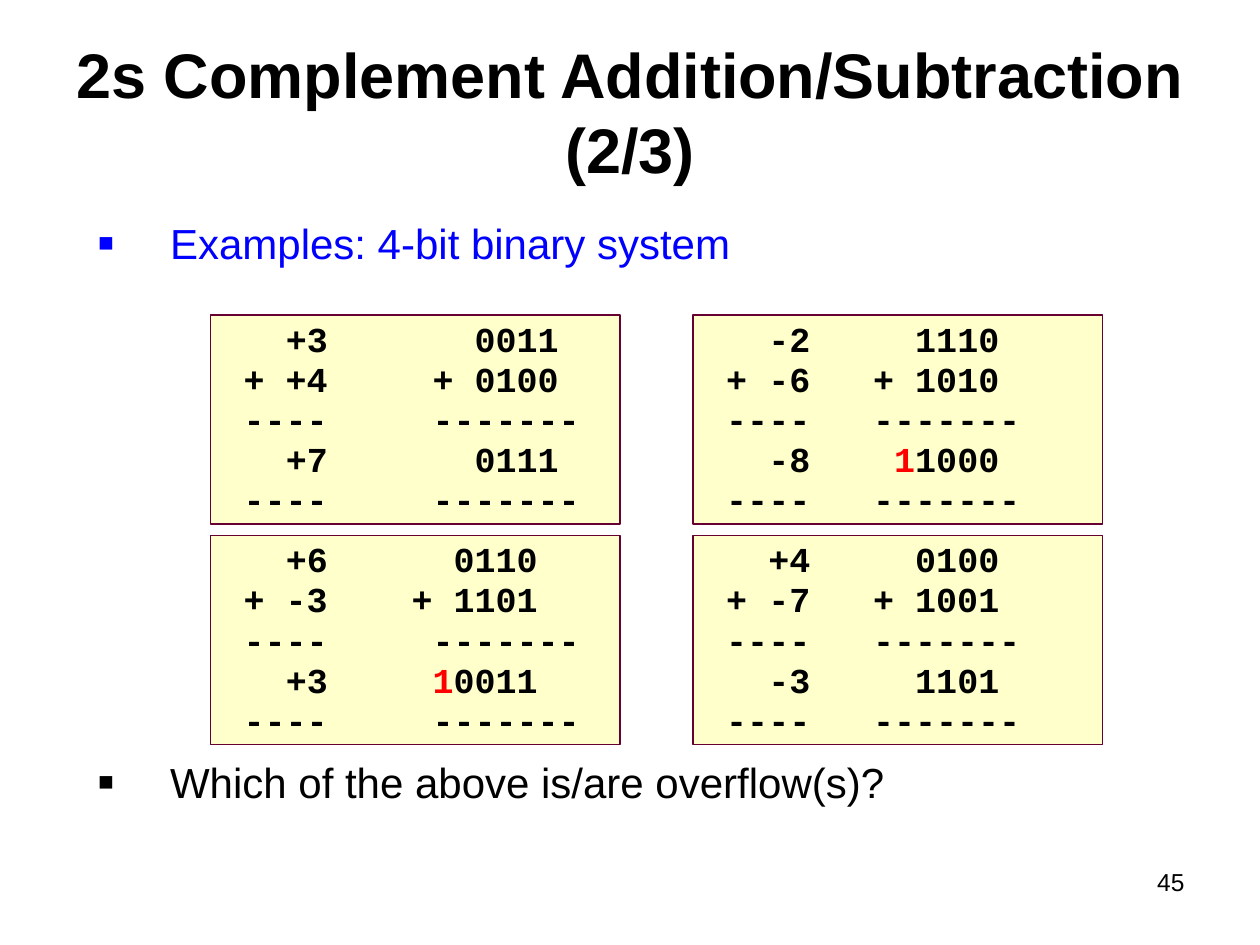
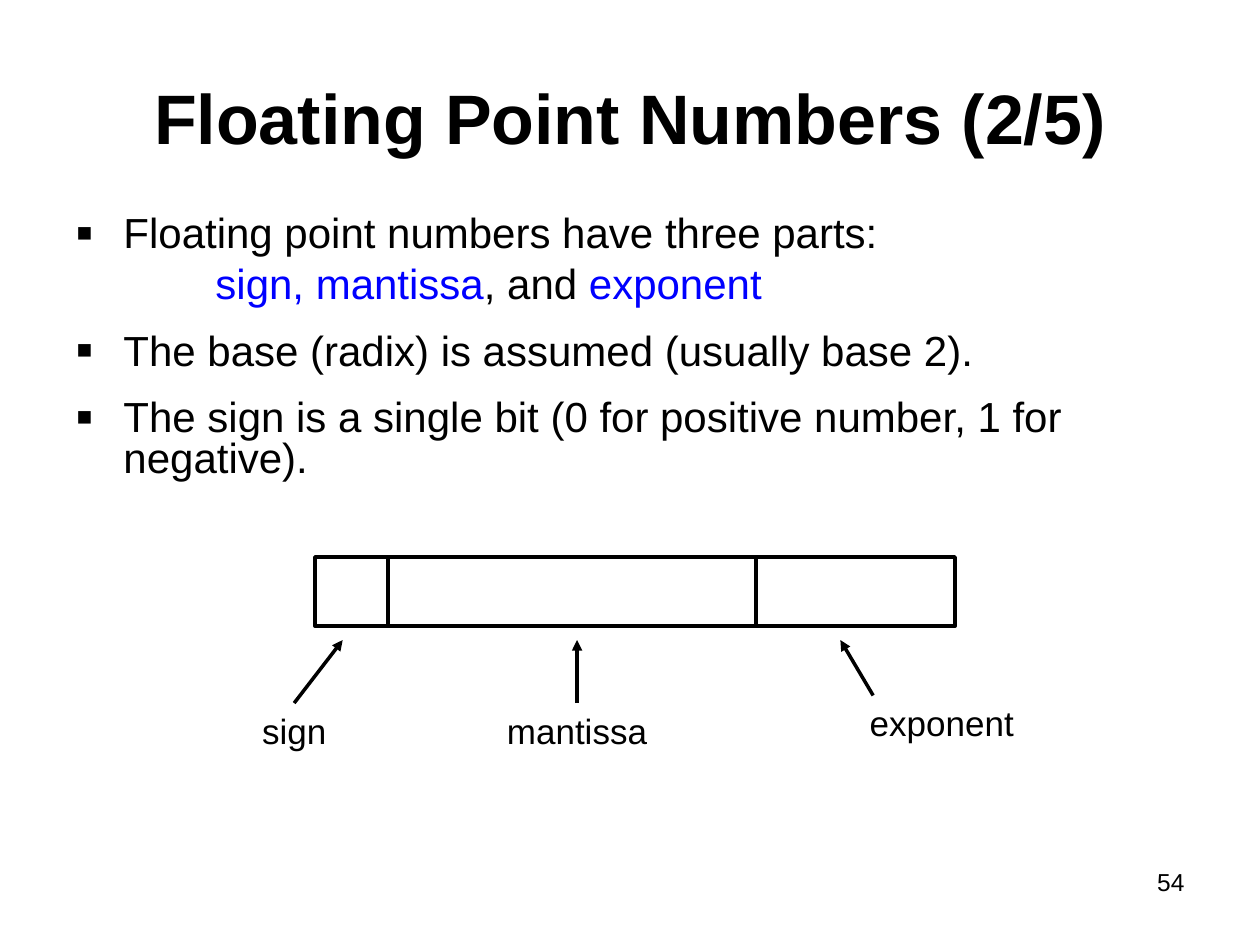
from lxml.etree import SubElement
from pptx import Presentation
from pptx.dml.color import RGBColor
from pptx.enum.shapes import MSO_CONNECTOR, MSO_SHAPE
from pptx.enum.text import MSO_ANCHOR, MSO_AUTO_SIZE, PP_ALIGN
from pptx.oxml.ns import qn
from pptx.util import Inches, Pt

COLORS = {
    "text": "000000",
    "accent": "0000FF",
    "carry": "FF0000",
    "sum_fill": "FFFFCC",
    "sum_line": "660033",
}
TEXT_FONT = "Arial"
CODE_FONT = "Courier New"
CHARACTER_WIDTH = 20 * 0.6 / 72
DECIMAL_END = 5


def set_attributes(target, values):
    for name, value in values.items():
        setattr(target, name, value)


def color(name):
    return RGBColor.from_string(COLORS[name])


def add_run(paragraph, text, size, color_name="text", font=TEXT_FONT, bold=False):
    run = paragraph.add_run()
    run.text = text
    set_attributes(run.font, {"name": font, "size": Pt(size), "bold": bold})
    run.font.color.rgb = color(color_name)


def add_element(parent, tag, **attributes):
    return SubElement(parent, qn(tag), {key: str(value) for key, value in attributes.items()})


def place(shape, left, top, width, height):
    set_attributes(shape, {
        "left": Inches(left), "top": Inches(top),
        "width": Inches(width), "height": Inches(height),
    })


def prepare_frame(shape, anchor=MSO_ANCHOR.TOP):
    frame = shape.text_frame
    set_attributes(frame, {
        "word_wrap": True, "auto_size": MSO_AUTO_SIZE.NONE, "vertical_anchor": anchor,
    })
    return frame


def add_label(slide, text, box, size, alignment):
    label = slide.shapes.add_textbox(*map(Inches, box))
    paragraph = prepare_frame(label).paragraphs[0]
    paragraph.alignment = alignment
    add_run(paragraph, text, size)
    return label


def add_slide(presentation, title, title_size, title_height, number):
    slide = presentation.slides.add_slide(presentation.slide_layouts[1])
    place(slide.shapes.title, 0.5, 0.3, 9, title_height)
    paragraph = prepare_frame(slide.shapes.title, MSO_ANCHOR.MIDDLE).paragraphs[0]
    paragraph.alignment = PP_ALIGN.CENTER
    add_run(paragraph, title, title_size, bold=True)
    add_label(slide, number, (7.17, 6.83, 2.33, 0.52), 14, PP_ALIGN.RIGHT)
    return slide


def format_list_item(paragraph, margin, indent, bullet_color):
    properties = paragraph._p.get_or_add_pPr()
    properties.set("marL", str(Inches(margin)))
    properties.set("indent", str(Inches(indent)))
    if bullet_color:
        fill = add_element(properties, "a:buClr")
        add_element(fill, "a:srgbClr", val=COLORS[bullet_color])
        add_element(properties, "a:buSzPct", val=120000)
        add_element(properties, "a:buFont", typeface=TEXT_FONT)
        add_element(properties, "a:buChar", char="▪")
    else:
        add_element(properties, "a:buNone")


def fill_body(slide, box, items):
    body = slide.placeholders[1]
    place(body, *box)
    frame = prepare_frame(body)
    for index, (margin, indent, bullet_color, space, runs) in enumerate(items):
        paragraph = frame.add_paragraph() if index else frame.paragraphs[0]
        format_list_item(paragraph, margin, indent, bullet_color)
        set_attributes(paragraph, {"line_spacing": 0.8, "space_before": Pt(space)})
        for text, color_name in runs:
            add_run(paragraph, text, 24, color_name)


def add_sum_line(paragraph, decimal, carry, binary, binary_end):
    properties = paragraph._p.get_or_add_pPr()
    tabs = add_element(properties, "a:tabLst")
    for end in (DECIMAL_END, binary_end):
        add_element(tabs, "a:tab", pos=Inches(end * CHARACTER_WIDTH), algn="r")
    for text, color_name in ((f"\t{decimal}\t", "text"), (carry, "carry"), (binary, "text")):
        if text:
            add_run(paragraph, text, 20, color_name, CODE_FONT, True)


def add_sum_box(slide, box, decimals, binaries, carry, digit_end, rule_end):
    shape = slide.shapes.add_shape(MSO_SHAPE.RECTANGLE, *map(Inches, box))
    shape.shadow.inherit = False
    shape.fill.solid()
    shape.fill.fore_color.rgb = color("sum_fill")
    shape.line.color.rgb = color("sum_line")
    shape.line.width = Pt(1)
    frame = prepare_frame(shape)
    frame.margin_top = Inches(0.07)
    rule = ("----", "", "-------", rule_end)
    lines = [
        (decimals[0], "", binaries[0], digit_end),
        (f"+ {decimals[1]}", "", f"+ {binaries[1]}", digit_end),
        rule,
        (decimals[2], carry, binaries[2], digit_end),
        rule,
    ]
    for index, line in enumerate(lines):
        paragraph = frame.add_paragraph() if index else frame.paragraphs[0]
        add_sum_line(paragraph, *line)
        set_attributes(paragraph, {
            "alignment": PP_ALIGN.LEFT, "line_spacing": 0.85,
            "space_before": Pt(2.5 if index else 0),
        })


def add_sum_grid(slide, left, top):
    sums = [
        (("+3", "+4", "+7"), ("0011", "0100", "0111"), "", 16, 17),
        (("-2", "-6", "-8"), ("1110", "1010", "1000"), "1", 14, 15),
        (("+6", "-3", "+3"), ("0110", "1101", "0011"), "1", 15, 17),
        (("+4", "-7", "-3"), ("0100", "1001", "1101"), "", 14, 15),
    ]
    for index, example in enumerate(sums):
        row, column = divmod(index, 2)
        box = (left + column * 3.83, top + row * 1.75, 3.25, 1.66)
        add_sum_box(slide, box, *example)


def add_arrow(slide, start, end, label=None):
    arrow = slide.shapes.add_connector(MSO_CONNECTOR.STRAIGHT, *map(Inches, start + end))
    if label:
        arrow.begin_connect(label, 0)
    arrow.line.color.rgb = color("text")
    arrow.line.width = Pt(2)
    add_element(arrow.line._get_or_add_ln(), "a:tailEnd", type="triangle")
    add_element(arrow._element.spPr, "a:effectLst")


def add_float_diagram(slide, left, top):
    field_left = left
    for width in (0.58, 2.92, 1.58):
        field = slide.shapes.add_shape(
            MSO_SHAPE.RECTANGLE, *map(Inches, (field_left, top, width, 0.55)))
        field.shadow.inherit = False
        field.fill.background()
        field.line.color.rgb = color("text")
        field.line.width = Pt(2)
        field_left += width
    parts = [
        ("sign", -0.58, 1.16, 0.83, -0.17, 0.22, True),
        ("mantissa", 1.26, 1.16, 1.64, 2.08, 2.08, True),
        ("exponent", 4.12, 1.1, 1.71, 4.43, 4.17, False),
    ]
    for name, label_left, label_top, width, start, end, joined in parts:
        box = (left + label_left, top + label_top, width, 0.44)
        label = add_label(slide, name, box, 20, PP_ALIGN.CENTER)
        add_arrow(slide, (left + start, top + label_top), (left + end, top + 0.66),
                  label if joined else None)


def build_addition_slide(presentation):
    slide = add_slide(
        presentation, "2s Complement Addition/Subtraction (2/3)", 36, 1.16, "45")
    fill_body(slide, (0.67, 1.75, 8.7, 4.67), [
        (0.58, -0.58, "accent", 0, [("Examples: 4-bit binary system", "accent")]),
        (0.58, -0.58, "text", 285, [("Which of the above is/are overflow(s)?", "text")]),
    ])
    add_sum_grid(slide, 1.67, 2.5)


def build_floating_point_slide(presentation):
    slide = add_slide(presentation, "Floating Point Numbers (2/5)", 40, 1.25, "54")
    fill_body(slide, (0.5, 1.67, 9.08, 2.47), [
        (0.38, -0.38, "text", 0, [("Floating point numbers have three parts:", "text")]),
        (1.11, 0, None, 6, [
            ("sign, mantissa", "accent"), (", and ", "text"), ("exponent", "accent")]),
        (0.38, -0.38, "text", 15, [
            ("The base (radix) is assumed (usually base 2).", "text")]),
        (0.38, -0.38, "text", 15, [
            ("The sign is a single bit (0 for positive number, 1 for negative).", "text")]),
    ])
    add_float_diagram(slide, 2.5, 4.42)


def main():
    presentation = Presentation()
    set_attributes(presentation, {"slide_width": Inches(10), "slide_height": Inches(7.5)})
    build_addition_slide(presentation)
    build_floating_point_slide(presentation)
    presentation.save("out.pptx")


if __name__ == "__main__":
    main()
